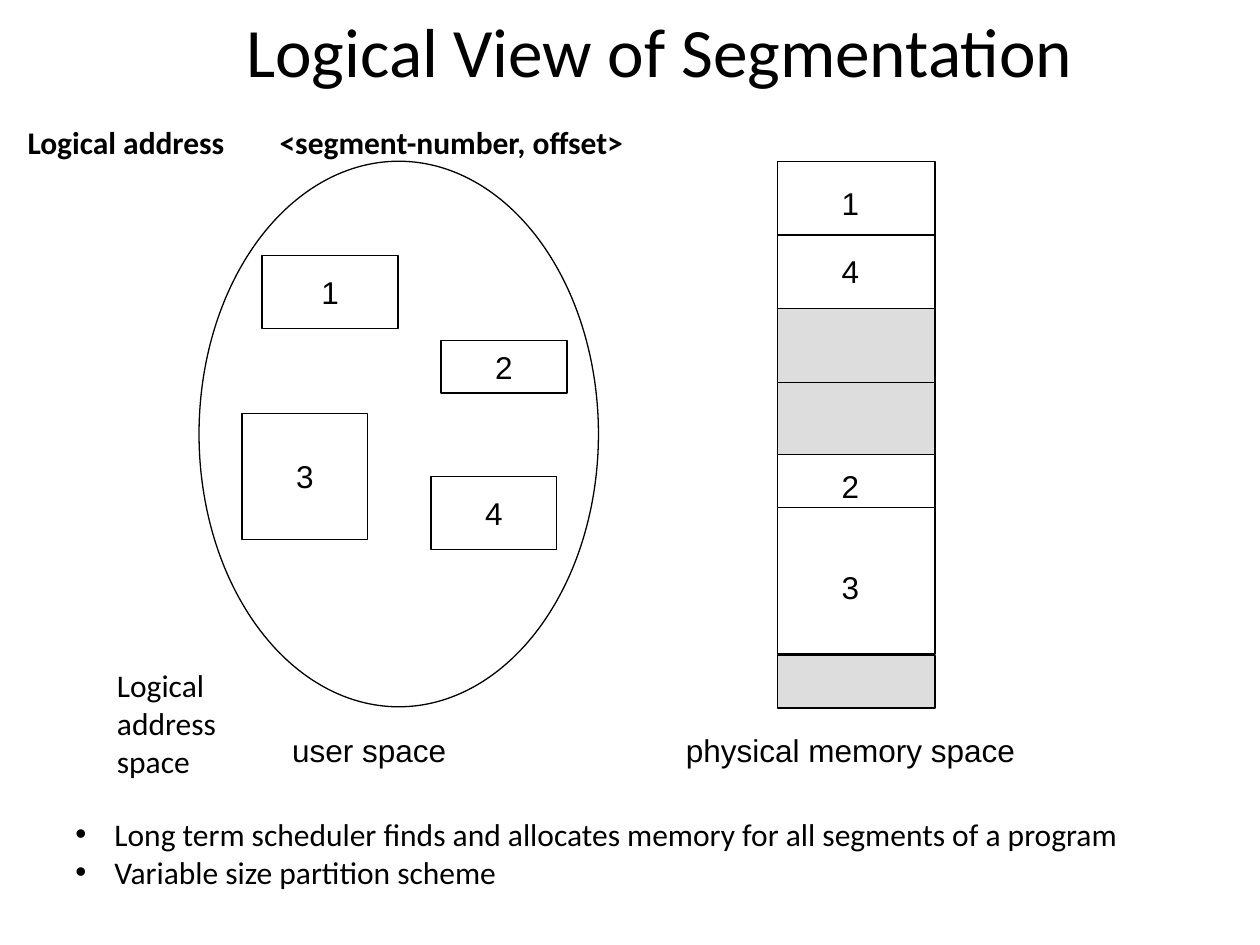
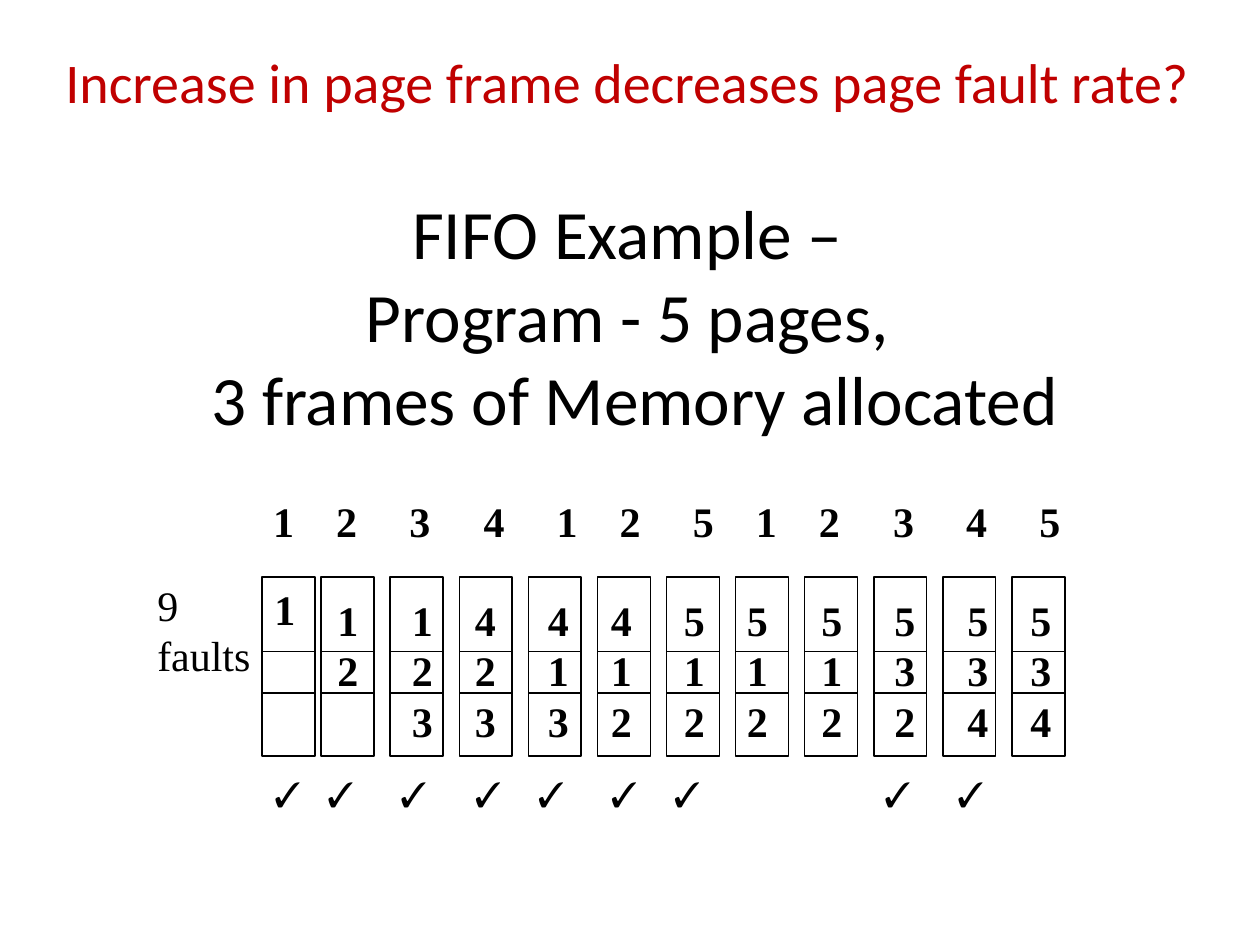
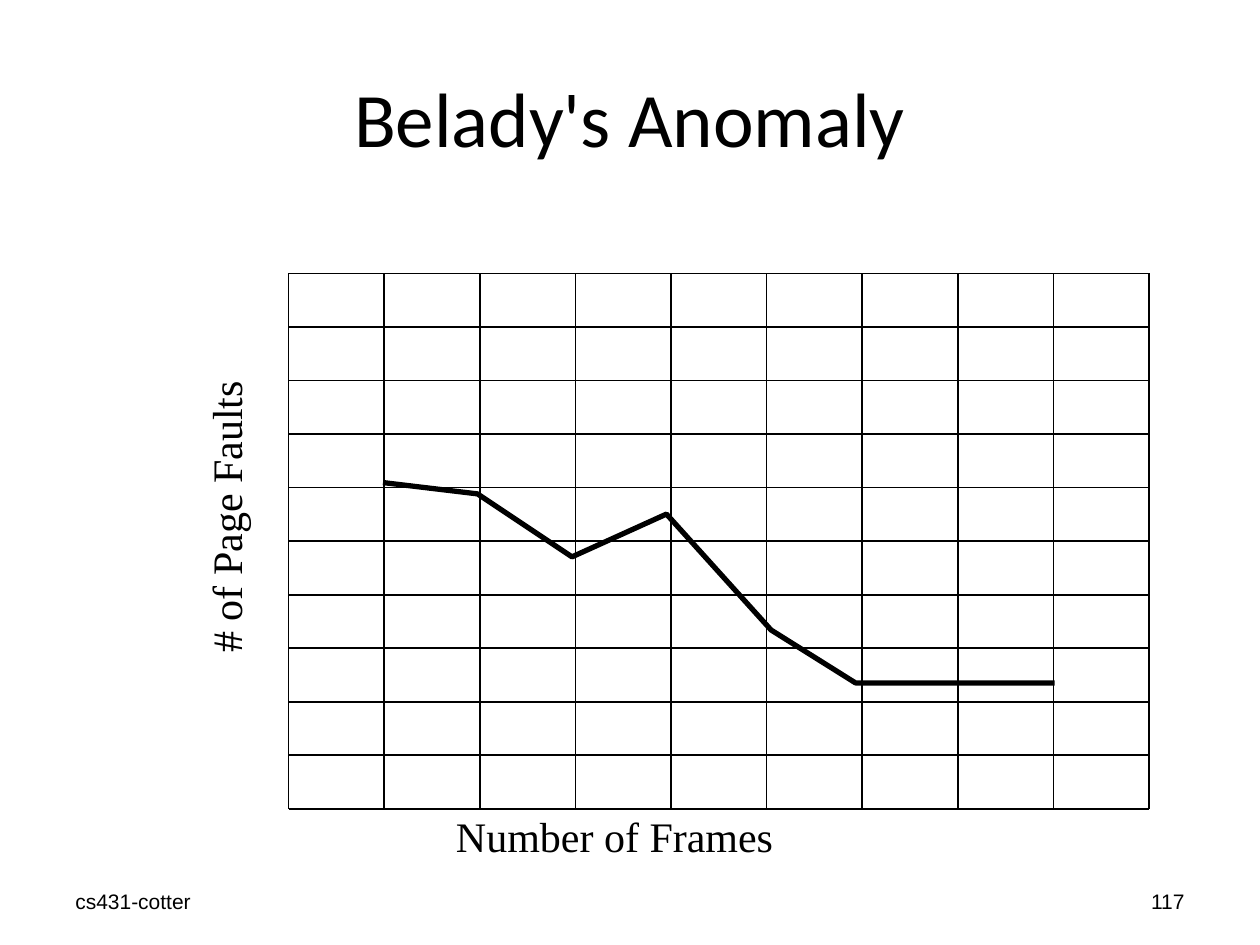
from dataclasses import dataclass
from lxml.etree import SubElement
from pptx import Presentation
from pptx.dml.color import RGBColor
from pptx.enum.shapes import MSO_CONNECTOR as Connector, MSO_SHAPE as Preset
from pptx.enum.text import MSO_ANCHOR as Anchor, MSO_AUTO_SIZE as AutoSize, PP_ALIGN as Align
from pptx.oxml.ns import qn
from pptx.util import Inches, Pt


@dataclass(frozen=True)
class TextStyle:
    """Font, size, weight and colour of a kind of text."""
    font: str
    size: float
    bold: bool = False
    color: str = "000000"


@dataclass(frozen=True)
class Theme:
    """Colours, line widths and text styles of the deck."""
    ink: str = "000000"
    paper: str = "FFFFFF"
    shade: str = "DDDDDD"
    thin: float = 0.75
    rule: float = 1
    curve: float = 3
    title: TextStyle = TextStyle("Calibri", 39.6)
    large_title: TextStyle = TextStyle("Calibri", 44)
    question: TextStyle = TextStyle("Calibri", 32, color="C00000")
    body: TextStyle = TextStyle("Calibri", 18)
    strong: TextStyle = TextStyle("Calibri", 18, bold=True)
    label: TextStyle = TextStyle("Arial", 18)
    serif: TextStyle = TextStyle("Times New Roman", 24)
    digit: TextStyle = TextStyle("Times New Roman", 24, bold=True)
    check: TextStyle = TextStyle("Times New Roman", 20)
    footer: TextStyle = TextStyle("Arial", 12)


THEME = Theme()

SEGMENTS = [
    ("1", (0.5, 0.75, 1.08, 0.58)),
    ("3", (0.34, 2, 1, 1)),
    ("2", (1.92, 1.42, 1, 0.42)),
    ("4", (1.84, 2.5, 1, 0.58)),
]
MEMORY_BLOCKS = [
    (0, 1.17, THEME.paper, 0.58),
    (1.17, 1.17, THEME.shade, 0.58),
    (2.33, 1.58, THEME.paper, 0.42),
    (3.92, 0.42, THEME.shade, None),
]
MEMORY_LABELS = [("1", 0.13), ("4", 0.67), ("2", 2.38), ("3", 3.18)]

REFERENCES = "123412512345"
REFERENCE_TABS = [0.5, 1.08, 1.67, 2.25, 2.75, 3.33, 3.83, 4.33, 4.92, 5.5, 6.08]
FRAME_CONTENTS = [
    ("1", 0), ("12", 0.5), ("123", 1.09), ("423", 1.59), ("413", 2.17), ("412", 2.67),
    ("512", 3.25), ("512", 3.75), ("512", 4.34), ("532", 4.92), ("534", 5.5), ("534", 6),
]
FAULT_OFFSETS = [0, 0.42, 1, 1.59, 2.09, 2.67, 3.17, 4.84, 5.42]

FAULT_CURVE = [
    (0.75, 1.66), (1.5, 1.75), (2.25, 2.25), (3, 1.91),
    (3.83, 2.83), (4.5, 3.25), (5.33, 3.25), (6.08, 3.25),
]


def spaced(first, last, count):
    """Return evenly spaced positions from first to last."""
    return [first + (last - first) * index / (count - 1) for index in range(count)]


def write(shape, text, style, align=Align.LEFT, anchor=Anchor.TOP, wrap=True):
    """Fill a shape with text in one style."""
    frame = shape.text_frame
    frame.text = text
    frame.word_wrap = wrap
    frame.vertical_anchor = anchor
    for para in frame.paragraphs:
        para.alignment = align
        for span in para.runs:
            span.font.name = style.font
            span.font.size = Pt(style.size)
            span.font.bold = style.bold
            span.font.color.rgb = RGBColor.from_string(style.color)


def add_text(page, box, text, style, grow=True, **layout):
    """Add a text box and return it."""
    shape = page.shapes.add_textbox(*map(Inches, box))
    write(shape, text, style, **layout)
    shape.text_frame.auto_size = AutoSize.SHAPE_TO_FIT_TEXT if grow else AutoSize.NONE
    return shape


def add_title(page, box, text, style=THEME.title):
    """Add a centred slide title."""
    add_text(page, box, text, style, grow=False, align=Align.CENTER, anchor=Anchor.MIDDLE)


def add_label(page, box, text):
    """Add a centred diagram label on one line."""
    add_text(page, box, text, THEME.label, align=Align.CENTER, anchor=Anchor.MIDDLE, wrap=False)


def set_line(shape, width):
    """Give a shape or connector a solid outline."""
    shape.line.color.rgb = RGBColor.from_string(THEME.ink)
    shape.line.width = Pt(width)


def add_outline(page, preset, box, width, fill=None):
    """Add an outlined preset shape with an optional fill."""
    shape = page.shapes.add_shape(preset, *map(Inches, box))
    shape.shadow.inherit = False
    if fill:
        shape.fill.solid()
        shape.fill.fore_color.rgb = RGBColor.from_string(fill)
    else:
        shape.fill.background()
    set_line(shape, width)
    return shape


def add_rule(page, start, end, width):
    """Add a straight line and return it."""
    rule = page.shapes.add_connector(Connector.STRAIGHT, *map(Inches, (*start, *end)))
    set_line(rule, width)
    SubElement(rule.element.spPr, qn("a:effectLst"))
    return rule


def set_tabs(para, stops):
    """Give a paragraph left tab stops in inches."""
    tabs = SubElement(para._p.get_or_add_pPr(), qn("a:tabLst"))
    for stop in stops:
        SubElement(tabs, qn("a:tab"), pos=str(Inches(stop)), algn="l")


def set_bullet(para, indent):
    """Give a paragraph a hanging round bullet."""
    properties = para._p.get_or_add_pPr()
    properties.set("marL", str(Inches(indent)))
    properties.set("indent", str(-Inches(indent)))
    SubElement(properties, qn("a:buFont"), typeface="Arial")
    SubElement(properties, qn("a:buChar"), char="•")


def add_user_space(page, box):
    """Draw the user space ellipse with its segments."""
    left, top, _, height = box
    add_outline(page, Preset.OVAL, box, THEME.thin, THEME.paper)
    for name, (dx, dy, *size) in SEGMENTS:
        segment = add_outline(page, Preset.RECTANGLE, (left + dx, top + dy, *size),
                              THEME.thin, THEME.paper)
        write(segment, name, THEME.label, Align.CENTER, Anchor.MIDDLE, wrap=False)
    add_label(page, (left + 0.63, top + height + 0.14, 1.51, 0.4), "user space ")


def add_physical_memory(page, box):
    """Draw the physical memory column with its partitions."""
    left, top, width, height = box
    for offset, depth, fill, split in MEMORY_BLOCKS:
        block_top = top + offset
        block = add_outline(page, Preset.RECTANGLE, (left, block_top, width, depth),
                            THEME.thin, fill)
        if split is None:
            continue
        divider = add_rule(page, (left, block_top + split),
                           (left + width, block_top + split), THEME.thin)
        if abs(split - depth / 2) < 0.01:
            divider.begin_connect(block, 1)
            divider.end_connect(block, 3)
    for name, offset in MEMORY_LABELS:
        add_label(page, (left + 0.41, top + offset, 0.34, 0.4), name)
    add_label(page, (left - 0.84, top + height + 0.14, 2.84, 0.4), "physical memory space")


def add_frame_column(page, box):
    """Draw one column of three page frames."""
    left, top, width, _ = box
    add_outline(page, Preset.RECTANGLE, box, THEME.rule)
    for offset in (0.59, 0.92):
        add_rule(page, (left, top + offset), (left + width, top + offset), THEME.rule)


def add_fifo_trace(page, left, top):
    """Draw the reference string, the frames over time and the faults."""
    references = add_text(page, (left - 0.01, top - 0.7, 6.45, 0.5), "\t".join(REFERENCES),
                          THEME.digit, wrap=False)
    set_tabs(references.text_frame.paragraphs[0], REFERENCE_TABS)
    for offset in [0] + spaced(0.47, 5.95, 11):
        add_frame_column(page, (left + offset, top, 0.42, 1.42))
    for pages, offset in FRAME_CONTENTS:
        drop = 0.09 if offset else 0
        add_text(page, (left + offset, top + drop, 0.37, 0.1 + 0.4 * len(pages)),
                 "\n".join(pages), THEME.digit, wrap=False)
    for offset in FAULT_OFFSETS:
        add_text(page, (left + offset, top + 1.5, 0.4, 0.43), "✓", THEME.check, wrap=False)
    add_text(page, (left - 0.93, top - 0.03, 0.94, 0.9), "9\nfaults", THEME.serif, wrap=False)


def add_fault_plot(page, box):
    """Draw the grid, the curve of page faults and the axis names."""
    left, top, width, height = box
    right, bottom = left + width, top + height
    for x in spaced(left, right, 10):
        add_rule(page, (x, top), (x, bottom), THEME.rule)
    for y in spaced(top, bottom, 11):
        add_rule(page, (left, y), (right, y), THEME.rule)
    vertical = add_text(page, (left - 1.68, top + 1.68, 2.36, 0.5), "# of Page Faults",
                        THEME.serif, wrap=False)
    vertical.rotation = 270
    add_text(page, (left + 1.23, bottom - 0.04, 2.72, 0.5), "Number of Frames",
             THEME.serif, wrap=False)
    points = [(Inches(left + dx), Inches(top + dy)) for dx, dy in FAULT_CURVE]
    builder = page.shapes.build_freeform(*points[0])
    builder.add_line_segments(points[1:], close=False)
    curve = builder.convert_to_shape()
    curve.shadow.inherit = False
    curve.fill.background()
    set_line(curve, THEME.curve)


def add_footer(page, course, number):
    """Add the course name and the page number."""
    for left, text, align in ((0.5, course, Align.LEFT), (7.17, number, Align.RIGHT)):
        add_text(page, (left, 6.95, 2.33, 0.4), text, THEME.footer, grow=False,
                 align=align, anchor=Anchor.MIDDLE)


def build_segmentation(page):
    """Build the slide on segmentation."""
    add_title(page, (0.97, 0.08, 8.53, 0.63), "Logical View of Segmentation")
    add_user_space(page, (1.58, 1.28, 3.17, 4.33))
    add_physical_memory(page, (6.17, 1.28, 1.25, 4.33))
    notes = add_text(
        page, (0.5, 6.42, 9.08, 0.71),
        "Long term scheduler finds and allocates memory for all segments of a program\n"
        "Variable size partition scheme", THEME.body)
    for para in notes.text_frame.paragraphs:
        set_bullet(para, 0.31)
    add_text(page, (0.83, 5.24, 1.5, 1.01), "Logical address space", THEME.body)
    address = add_text(page, (0.12, 0.93, 5.12, 0.4),
                       "Logical address\t<segment-number, offset>", THEME.strong)
    set_tabs(address.text_frame.paragraphs[0], [2])


def build_fifo(page):
    """Build the slide on FIFO replacement."""
    add_fifo_trace(page, 2.08, 4.58)
    add_title(page, (0.33, 1.75, 9.42, 1.5),
              "FIFO Example – \vProgram - 5 pages, \v3 frames of Memory allocated")
    add_text(page, (0.42, 0.33, 9.42, 0.64),
             "Increase in page frame decreases page fault rate?", THEME.question)


def build_anomaly(page):
    """Build the slide on the anomaly."""
    add_footer(page, "cs431-cotter", "117")
    add_title(page, (0.5, 0.3, 9, 1.25), "Belady's Anomaly", THEME.large_title)
    add_fault_plot(page, (2.29, 2.17, 6.83, 4.25))


def main():
    """Build and save the deck."""
    deck = Presentation()
    deck.slide_width, deck.slide_height = Inches(10), Inches(7.5)
    for build in (build_segmentation, build_fifo, build_anomaly):
        build(deck.slides.add_slide(deck.slide_layouts[6]))
    deck.save("out.pptx")


if __name__ == "__main__":
    main()
